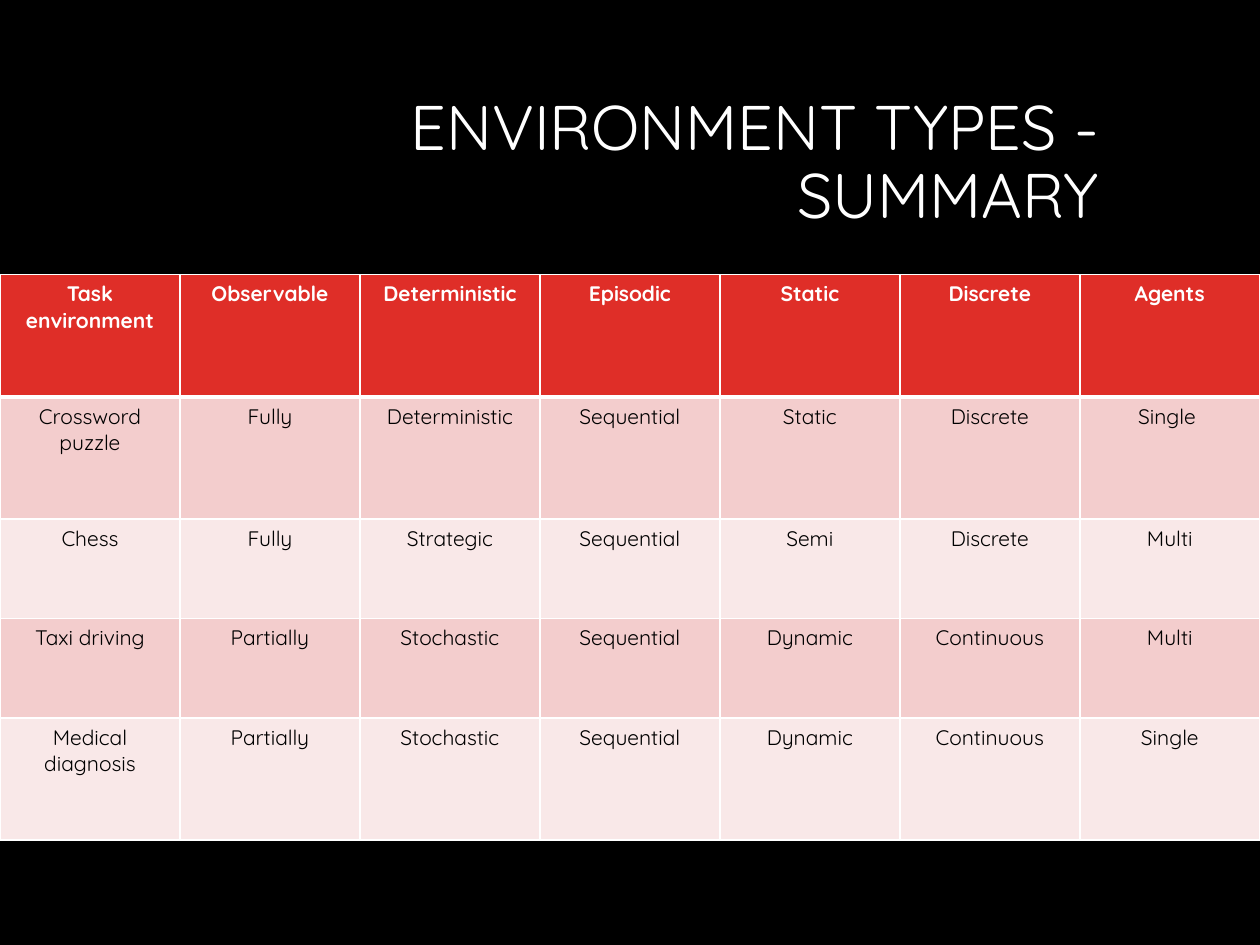
import pptx
import pptx.dml.color
import pptx.enum.text
import pptx.oxml.ns
import pptx.util
from lxml import etree

RGBColor = pptx.dml.color.RGBColor
BLACK = RGBColor(0x00, 0x00, 0x00)
WHITE = RGBColor(0xFF, 0xFF, 0xFF)
RED = RGBColor(0xDF, 0x2E, 0x28)
ROSE = RGBColor(0xF3, 0xCD, 0xCD)
PALE_ROSE = RGBColor(0xF9, 0xE8, 0xE8)

FONT = "Quicksand"
WIDTH = pptx.util.Inches(10)
HEIGHT = pptx.util.Inches(7.5)
ALIGN = pptx.enum.text.PP_ALIGN
ANCHOR = pptx.enum.text.MSO_ANCHOR

ROW_HEIGHTS = [0.97, 0.97, 0.79, 0.79, 0.97]
ENVIRONMENTS = [
    ["Task environment", "Observable", "Deterministic", "Episodic",
     "Static", "Discrete", "Agents"],
    ["Crossword puzzle", "Fully", "Deterministic", "Sequential",
     "Static", "Discrete", "Single "],
    ["Chess", "Fully", "Strategic", "Sequential",
     "Semi", "Discrete", "Multi"],
    ["Taxi driving", "Partially", "Stochastic", "Sequential",
     "Dynamic", "Continuous", "Multi"],
    ["Medical diagnosis", "Partially", "Stochastic", "Sequential",
     "Dynamic", "Continuous", "Single"],
]


def write_text(frame, text, size, color, align, bold=False, spacing=None):
    """Fill a text frame with one formatted paragraph."""
    para = frame.paragraphs[0]
    para.alignment = align
    if spacing:
        para.line_spacing = spacing
    span = para.add_run()
    span.text = text
    span.font.name = FONT
    span.font.size = pptx.util.Pt(size)
    span.font.bold = bold
    span.font.color.rgb = color


def add_border(cell, side, points):
    """Draw one white edge of a cell; side is L, R, T or B."""
    name = pptx.oxml.ns.qn
    properties = cell._tc.get_or_add_tcPr()
    line = etree.SubElement(properties, name("a:ln" + side),
                            w=str(pptx.util.Pt(points)))
    fill = etree.SubElement(line, name("a:solidFill"))
    etree.SubElement(fill, name("a:srgbClr"), val=str(WHITE))


def add_title(page, text):
    box = page.shapes.add_textbox(int(WIDTH * 0.114), int(HEIGHT * 0.09),
                                  int(WIDTH * 0.768), int(HEIGHT * 0.168))
    frame = box.text_frame
    frame.word_wrap = True
    frame.vertical_anchor = ANCHOR.MIDDLE
    write_text(frame, text, 36, WHITE, ALIGN.RIGHT, spacing=0.9)


def style_cell(cell, text, row):
    header = row == 0
    write_text(cell.text_frame, text, 12, WHITE if header else BLACK,
               ALIGN.CENTER, bold=header)
    # Borders come before the fill in the cell properties
    edges = {"L": 1, "R": 1, "T": 3 if row == 1 else 1, "B": 3 if header else 1}
    for side, points in edges.items():
        add_border(cell, side, points)
    cell.fill.solid()
    cell.fill.fore_color.rgb = RED if header else (ROSE if row % 2 else PALE_ROSE)


def add_environment_table(page, rows):
    columns = len(rows[0])
    table = page.shapes.add_table(
        len(rows), columns, 0, pptx.util.Inches(2.18), WIDTH,
        pptx.util.Inches(sum(ROW_HEIGHTS))).table
    for column in table.columns:
        column.width = WIDTH // columns
    for row, (texts, height) in enumerate(zip(rows, ROW_HEIGHTS)):
        table.rows[row].height = pptx.util.Inches(height)
        for column, text in enumerate(texts):
            style_cell(table.cell(row, column), text, row)


def main():
    deck = pptx.Presentation()
    deck.slide_width, deck.slide_height = WIDTH, HEIGHT
    page = deck.slides.add_slide(deck.slide_layouts[6])

    # Background
    page.background.fill.solid()
    page.background.fill.fore_color.rgb = BLACK

    # Content
    add_title(page, "ENVIRONMENT TYPES - SUMMARY")
    add_environment_table(page, ENVIRONMENTS)
    deck.save("out.pptx")


main()
